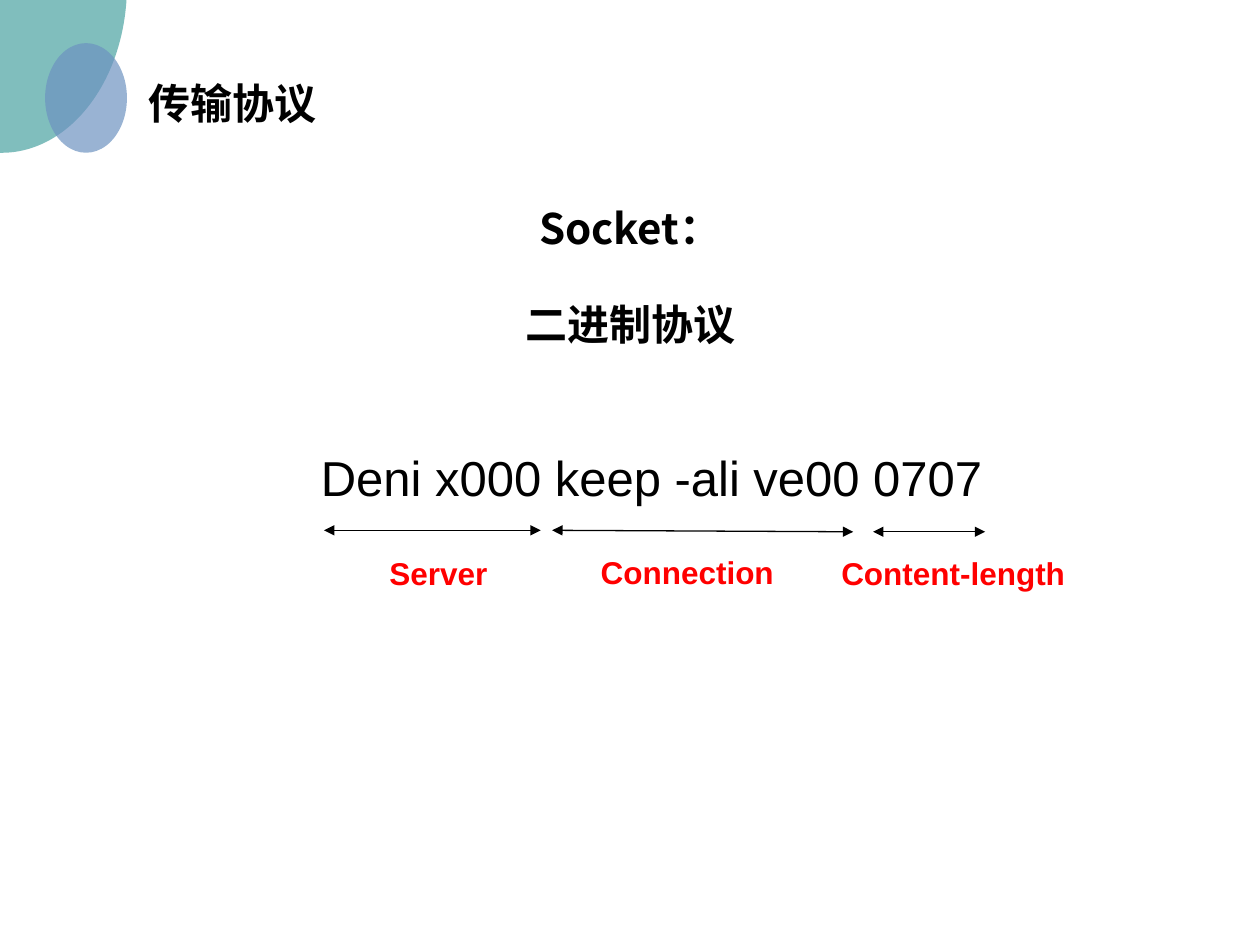
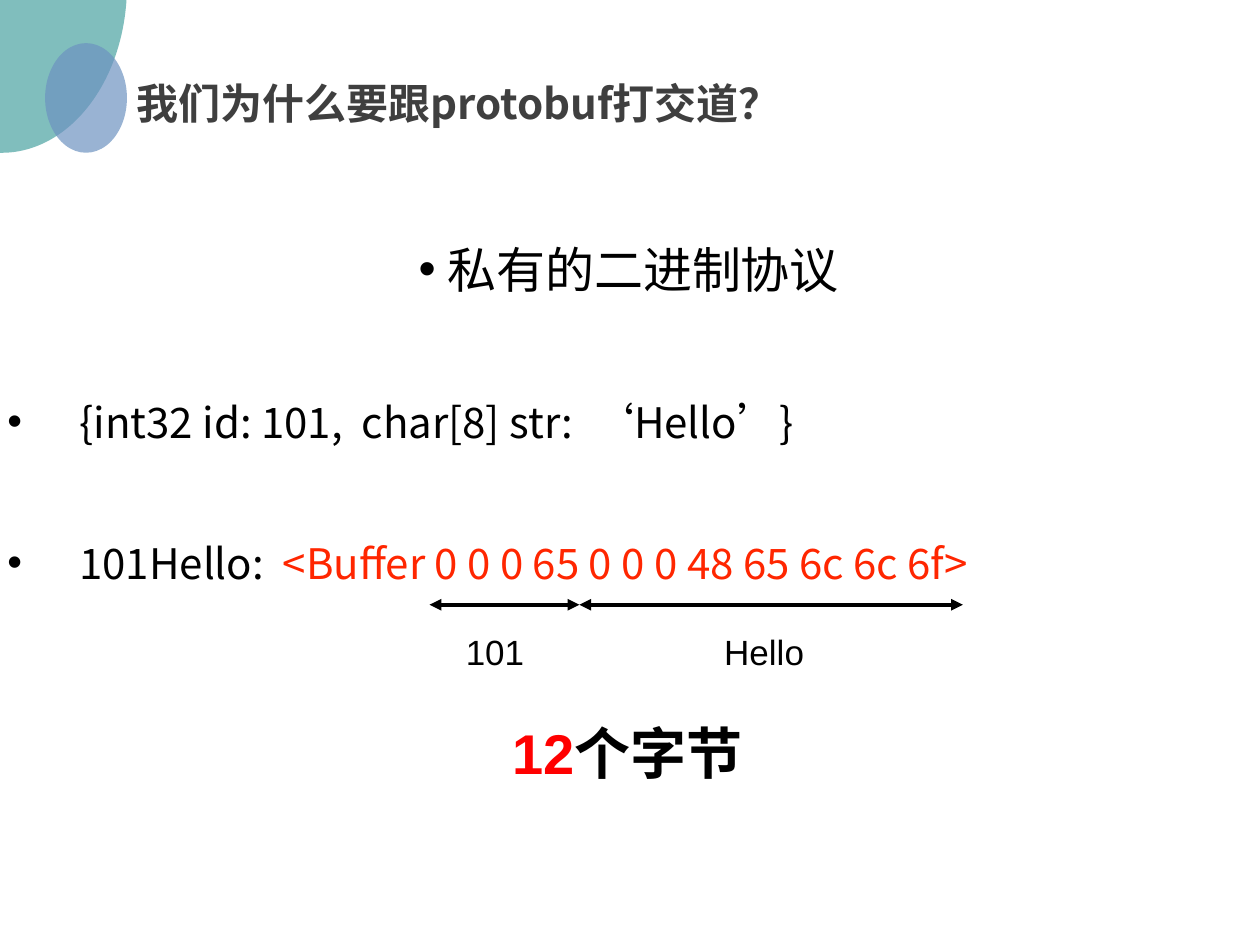
from lxml.etree import SubElement
from pptx import Presentation
from pptx.dml.color import RGBColor
from pptx.enum.shapes import MSO_CONNECTOR as Connector, MSO_SHAPE as Preset
from pptx.enum.text import MSO_ANCHOR as Anchor, MSO_AUTO_SIZE as AutoSize, PP_ALIGN as Align
from pptx.oxml.ns import qn
from pptx.util import Cm, Pt

BLACK, RED, BUFFER_RED, GREY = "000000", "FF0000", "FF2600", "3F3F3F"
TEAL, BLUE = "48A2A0", "6C92C0"
SANS, CJK = "Arial", "Noto Sans CJK SC"


def rgb(value):
    """Turn a hex string into a colour."""
    return RGBColor.from_string(value)


def apply(target, values):
    """Set each attribute of the target from a dict."""
    for name, value in values.items():
        setattr(target, name, value)


class Deck:
    """Hold the presentation, its shared style and the current slide."""

    def __init__(self):
        """Start an empty 4:3 presentation."""
        self.presentation = Presentation()
        apply(self.presentation, {"slide_width": Cm(25.4), "slide_height": Cm(19.05)})
        self.slide = None

    def add_slide(self, title, left, width, color):
        """Add a blank slide with the corner ellipses and a title."""
        self.slide = self.presentation.slides.add_slide(self.presentation.slide_layouts[6])
        self.ellipse(-2.49, -3.65, 5.05, 6.73, TEAL)
        self.ellipse(0.91, 0.87, 1.65, 2.21, BLUE)
        self.text((left, 1.43, width, 1.27), [[(title, color)]], font=CJK, bold=True, wrap=False)

    def ellipse(self, left, top, width, height, color):
        """Draw a translucent ellipse without an outline."""
        shape = self.slide.shapes.add_shape(
            Preset.OVAL, Cm(left), Cm(top), Cm(width), Cm(height))
        shape.shadow.inherit = False
        shape.fill.solid()
        shape.fill.fore_color.rgb = rgb(color)
        shape.line.fill.background()
        color_node = shape.element.spPr.find(".//" + qn("a:srgbClr"))
        SubElement(color_node, qn("a:alpha"), val="69000")

    def text(self, box, lines, size=24, font=SANS, bold=False, wrap=True,
             grow=True, bullet_indent=None, frame_format=None, paragraph_format=None):
        """Write paragraphs, each a list of (text, colour) runs."""
        shape = self.slide.shapes.add_textbox(*map(Cm, box))
        frame = shape.text_frame
        apply(frame, {
            "word_wrap": wrap,
            "auto_size": AutoSize.SHAPE_TO_FIT_TEXT if grow else AutoSize.NONE,
            **(frame_format or {}),
        })
        for index, runs in enumerate(lines):
            paragraph = frame.add_paragraph() if index else frame.paragraphs[0]
            apply(paragraph, paragraph_format or {})
            if bullet_indent is not None:
                self.bullet(paragraph, bullet_indent)
            for content, color in runs:
                run = paragraph.add_run()
                run.text = content
                apply(run.font, {"size": Pt(size), "name": font, "bold": bold})
                run.font.color.rgb = rgb(color)
                SubElement(run._r.get_or_add_rPr(), qn("a:ea"), typeface=CJK)

    def bullet(self, paragraph, indent):
        """Give a paragraph a black bullet with a hanging indent."""
        properties = paragraph._p.get_or_add_pPr()
        properties.set("marL", str(Cm(indent)))
        properties.set("indent", str(-Cm(indent)))
        bullet_color = SubElement(properties, qn("a:buClr"))
        SubElement(bullet_color, qn("a:srgbClr"), val=BLACK)
        SubElement(properties, qn("a:buFont"), typeface=SANS)
        SubElement(properties, qn("a:buChar"), char="•")

    def span_arrow(self, start, end, top, bottom, width):
        """Draw a line with a triangle at both ends."""
        connector = self.slide.shapes.add_connector(
            Connector.STRAIGHT, Cm(start), Cm(top), Cm(end), Cm(bottom))
        connector.line.color.rgb = rgb(BLACK)
        connector.line.width = Pt(width)
        properties = connector.element.spPr
        for tip in ("a:headEnd", "a:tailEnd"):
            SubElement(properties.find(qn("a:ln")), qn(tip), type="triangle")
        SubElement(properties, qn("a:effectLst"))


def socket_slide(deck):
    """Show the fields of the binary socket message."""
    deck.add_slide("传输协议", 2.74, 3.89, BLACK)
    deck.text((0.03, 3.05, 25.35, 4.11), [[("Socket：", BLACK)], [("二进制协议", BLACK)]],
              font=CJK, bold=True,
              paragraph_format={"alignment": Align.CENTER, "line_spacing": 1.9})
    deck.text((6.22, 8.89, 13.9, 1.45), [[("Deni x000 keep -ali ve00 0707", BLACK)]],
              size=28, wrap=False)
    fields = [
        ("Server", (6.53, 10.9, 10.69, 10.69), (7.6, 11.05, 2.55)),
        ("Connection", (11.13, 17.2, 10.69, 10.72), (11.86, 11.02, 4.05)),
        ("Content-length", (17.6, 19.86, 10.72, 10.72), (16.71, 11.05, 5.08)),
    ]
    for name, arrow, label in fields:
        deck.span_arrow(*arrow, 0.75)
        deck.text((*label, 1.02), [[(name, RED)]], size=18, bold=True, wrap=False)


def protobuf_slide(deck):
    """Show the bytes of a private binary protocol."""
    deck.add_slide("我们为什么要跟protobuf打交道？", 2.5, 13.94, GREY)
    deck.text((0, 3.63, 25.35, 2.51), [[("私有的二进制协议", BLACK)]],
              size=28, bullet_indent=0.58,
              paragraph_format={"alignment": Align.CENTER, "line_spacing": 1.9})
    margins = dict.fromkeys(
        ("margin_left", "margin_top", "margin_right", "margin_bottom"), Cm(0.15))
    message = [
        [("{int32 id: 101,  char[8] str:  ‘Hello’}", BLACK)],
        [("101Hello:  ", BLACK), ("<Buffer 0 0 0 65 0 0 0 48 65 6c 6c 6f>", BUFFER_RED)],
    ]
    deck.text((0, 5.66, 25.25, 8.31), message, font=CJK, grow=False, bullet_indent=1.45,
              frame_format={"vertical_anchor": Anchor.MIDDLE, **margins},
              paragraph_format={"line_spacing": 1.2, "space_before": Pt(46)})
    parts = [("101", 8.66, 11.68, 9.14, 2.03), ("Hello", 11.68, 19.41, 14.35, 2.39)]
    for name, start, end, left, width in parts:
        deck.span_arrow(start, end, 12.19, 12.19, 2.25)
        deck.text((left, 12.58, width, 1.12), [[(name, BLACK)]], size=20)
    deck.text((10.08, 14.35, 5.6, 1.63), [[("12", RED), ("个字节", BLACK)]],
              size=32, bold=True, wrap=False)


def main():
    """Build both slides and save them."""
    deck = Deck()
    socket_slide(deck)
    protobuf_slide(deck)
    deck.presentation.save("out.pptx")


if __name__ == "__main__":
    main()
